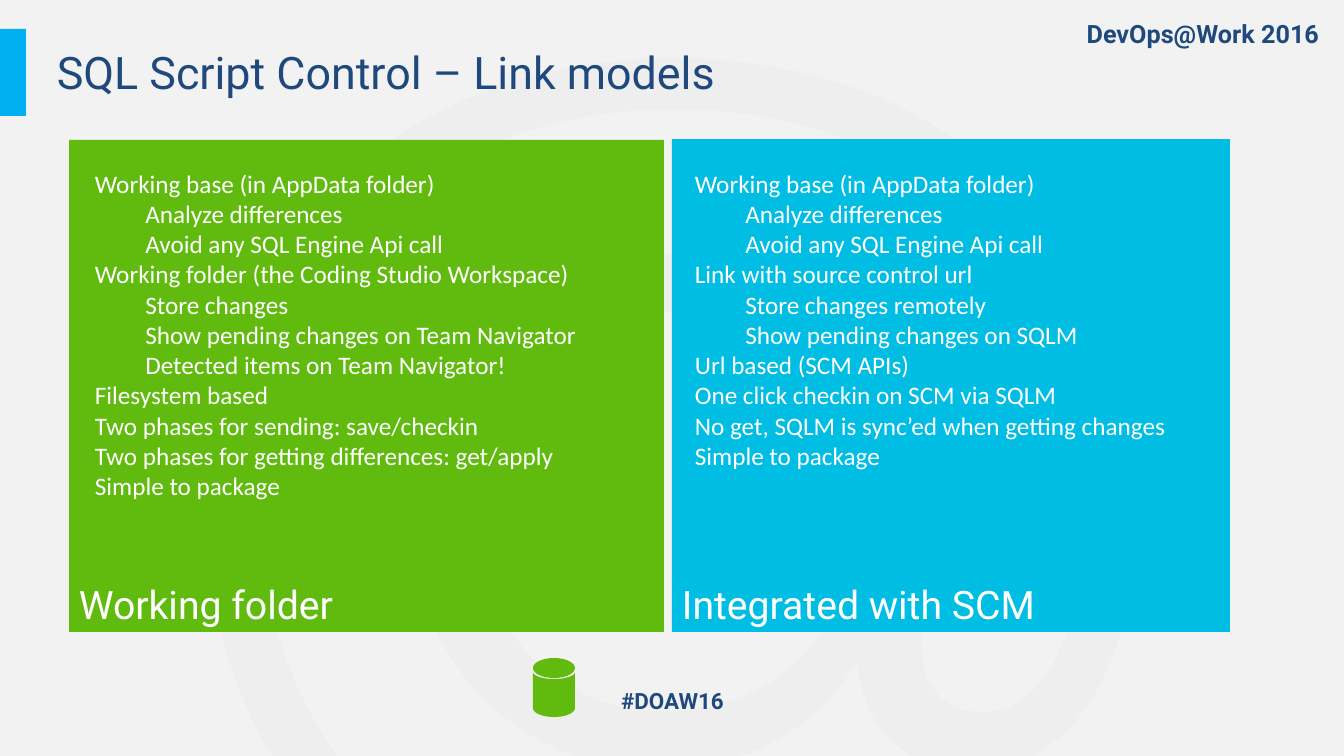
"""Build the slide that compares two link models for source control."""
from math import cos, pi, sin

from pptx import Presentation
from pptx.dml.color import RGBColor
from pptx.enum.shapes import MSO_SHAPE as Shape
from pptx.enum.text import MSO_ANCHOR as Anchor, PP_ALIGN as Align
from pptx.util import Pt

PX = 914400 / 100.8
GREY = RGBColor(0xF2, 0xF2, 0xF2)
PALE = RGBColor(0xEE, 0xEE, 0xEE)
NAVY = RGBColor(0x1F, 0x49, 0x7D)
BLUE = RGBColor(0x00, 0xB0, 0xF0)
GREEN = RGBColor(0x60, 0xBB, 0x0E)
CYAN = RGBColor(0x00, 0xBD, 0xE3)
WHITE = RGBColor(0xFF, 0xFF, 0xFF)

FOLDER_POINTS = [
    (0, "Working base (in AppData folder)"),
    (1, "Analyze differences"),
    (1, "Avoid any SQL Engine Api call"),
    (0, "Working folder (the Coding Studio Workspace)"),
    (1, "Store changes"),
    (1, "Show pending changes on Team Navigator"),
    (1, "Detected items on Team Navigator!"),
    (0, "Filesystem based"),
    (0, "Two phases for sending: save/checkin"),
    (0, "Two phases for getting differences: get/apply"),
    (0, "Simple to package"),
]
SCM_POINTS = [
    (0, "Working base (in AppData folder)"),
    (1, "Analyze differences"),
    (1, "Avoid any SQL Engine Api call"),
    (0, "Link with source control url"),
    (1, "Store changes remotely"),
    (1, "Show pending changes on SQLM"),
    (0, "Url based (SCM APIs)"),
    (0, "One click checkin on SCM via SQLM"),
    (0, "No get, SQLM is sync’ed when getting changes"),
    (0, "Simple to package"),
]


def emu(*lengths):
    """Turn px lengths into EMU."""
    return [round(length * PX) for length in lengths]


def paint(shape, color):
    """Give a shape a plain fill without line or shadow."""
    shape.shadow.inherit = False
    shape.fill.solid()
    shape.fill.fore_color.rgb = color
    shape.line.fill.background()


def style(para, size, color, font, bold=False, align=Align.LEFT):
    """Align a paragraph and format its runs."""
    para.alignment = align
    for span in para.runs:
        span.font.size = Pt(size)
        span.font.name = font
        span.font.bold = bold
        span.font.color.rgb = color


def add_label(page, bounds, text, size, color=NAVY, font="Roboto",
              bold=False, align=Align.LEFT, anchor=Anchor.TOP):
    """Add a text box with one line."""
    frame = page.shapes.add_textbox(*emu(*bounds)).text_frame
    frame.word_wrap = True
    frame.vertical_anchor = anchor
    frame.text = text
    style(frame.paragraphs[0], size, color, font, bold, align)


def add_block(page, bounds, color, caption=""):
    """Add a filled rectangle with an optional caption at its foot."""
    block = page.shapes.add_shape(Shape.RECTANGLE, *emu(*bounds))
    paint(block, color)
    if caption:
        frame = block.text_frame
        frame.word_wrap = True
        frame.vertical_anchor = Anchor.BOTTOM
        frame.text = caption
        style(frame.paragraphs[0], 28, WHITE, "Roboto")


def add_points(page, bounds, points):
    """Add a two-level list of points."""
    frame = page.shapes.add_textbox(*emu(*bounds)).text_frame
    frame.word_wrap = True
    frame.text = "\n".join(text for _, text in points)
    for para, (level, _) in zip(frame.paragraphs, points):
        para.level = level
        properties = para._p.get_or_add_pPr()
        properties.set("marL", str(level * 457200))
        properties.set("indent", "0")
        style(para, 18, WHITE, "Calibri")


def arc(x, y, rx, ry, start, end, steps=32):
    """List the EMU points of an elliptic arc, angles in half turns."""
    angles = [pi * (start + (end - start) * i / steps) for i in range(steps + 1)]
    return [tuple(emu(x + rx * cos(a), y + ry * sin(a))) for a in angles]


def add_cylinder(page, x, lid_y, base_y, rx, ry):
    """Add a database cylinder as a lid and a body in one outline."""
    lid = arc(x, lid_y, rx, ry, 0, 2)
    body = arc(x, lid_y + 4, rx, ry - 3, 0, 1) + arc(x, base_y, rx, ry - 1, 1, 0)
    builder = page.shapes.build_freeform(*body[0])
    builder.add_line_segments(body[1:], close=True)
    builder.move_to(*lid[0])
    builder.add_line_segments(lid[1:], close=True)
    paint(builder.convert_to_shape(), GREEN)


def main():
    """Build and save the slide."""
    deck = Presentation()
    deck.slide_width, deck.slide_height = emu(1344, 756)
    page = deck.slides.add_slide(deck.slide_layouts[6])
    page.background.fill.solid()
    page.background.fill.fore_color.rgb = GREY

    add_label(page, (0, -240, 1344, 1222), "@", 714, PALE, "Montserrat",
              align=Align.CENTER)
    add_label(page, (970, 13, 359, 40), "DevOps@Work 2016", 18, bold=True,
              align=Align.RIGHT)
    add_label(page, (493, 682, 359, 37), "#DOAW16", 16, bold=True,
              align=Align.CENTER)
    add_block(page, (0, 29, 26, 87), BLUE)
    add_label(page, (47, 29, 953, 86), "SQL Script Control – Link models", 32,
              anchor=Anchor.MIDDLE)

    add_block(page, (69, 140, 595, 492), GREEN, "Working folder")
    add_block(page, (672, 139, 558, 493), CYAN, "Integrated with SCM")
    add_points(page, (85, 163, 532, 346), FOLDER_POINTS)
    add_points(page, (685, 163, 532, 316), SCM_POINTS)
    add_cylinder(page, x=554, lid_y=668, base_y=708, rx=21, ry=10)

    deck.save("out.pptx")


if __name__ == "__main__":
    main()
